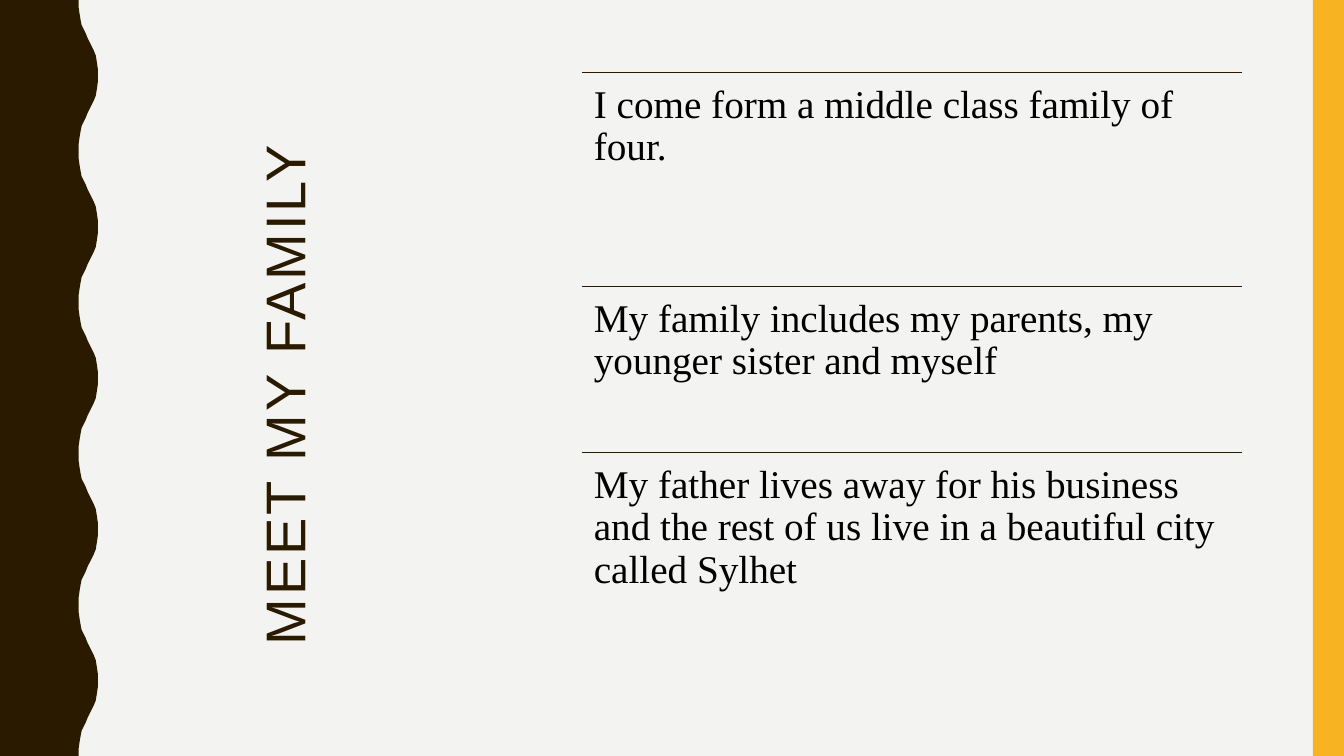
import pptx
import pptx.util
import pptx.dml.color
import pptx.enum.shapes
import pptx.enum.text
from lxml import etree

Inches, Pt = pptx.util.Inches, pptx.util.Pt
RGBColor = pptx.dml.color.RGBColor

TITLE = "MEET MY FAMILY"
FACTS = [
    ("I come form a middle class family of four.", 2.12),
    ("My family includes my parents, my younger sister and myself", 1.65),
    ("My father lives away for his business and the rest of us live in a beautiful city called Sylhet", 2.12),
]
HALF_WAVE = [
    (0.78, 0), (0.78, 0.07), (0.79, 0.14), (0.8, 0.2), (0.81, 0.25),
    (0.83, 0.29), (0.85, 0.33), (0.87, 0.38), (0.89, 0.42), (0.91, 0.46),
    (0.93, 0.5), (0.95, 0.55), (0.96, 0.61), (0.97, 0.68), (0.97, 0.75),
]
WAVE_PERIOD, WAVE_COUNT = 1.5, 5
SLIDE_W, SLIDE_H = 13.33, 7.5
STRIPE_W = 0.31
FACT_LEFT, FACT_TOP, FACT_W = 5.77, 0.72, 6.55

BROWN = RGBColor(0x2A, 0x1A, 0x00)
AMBER = RGBColor(0xF8, 0xB3, 0x23)
PAPER = RGBColor(0xF3, 0xF3, 0xF2)
BLACK = RGBColor(0x00, 0x00, 0x00)


def paint(sp, color):
    sp.shadow.inherit = False
    sp.fill.solid()
    sp.fill.fore_color.rgb = color
    sp.line.fill.background()


def write(sp, text, font, size, color):
    tf = sp.text_frame
    tf.word_wrap = True
    tf.auto_size = pptx.enum.text.MSO_AUTO_SIZE.NONE
    p = tf.paragraphs[0]
    p.text = text
    p.alignment = pptx.enum.text.PP_ALIGN.LEFT
    p.line_spacing = 0.9
    r = p.runs[0]
    r.font.name, r.font.size = font, Pt(size)
    r.font.color.rgb = color
    return r


def add_wave(s):
    period = HALF_WAVE + [(x, WAVE_PERIOD - y) for x, y in HALF_WAVE[-2::-1]]
    edge = [(x, y + i * WAVE_PERIOD) for i in range(WAVE_COUNT) for x, y in period]
    outline = [(Inches(x), Inches(y)) for x, y in edge + [(0, SLIDE_H)]]
    builder = s.shapes.build_freeform(0, 0)
    builder.add_line_segments(outline, close=True)
    paint(builder.convert_to_shape(), BROWN)


def add_stripe(s):
    sp = s.shapes.add_shape(
        pptx.enum.shapes.MSO_SHAPE.RECTANGLE,
        Inches(SLIDE_W - STRIPE_W), 0, Inches(STRIPE_W), Inches(SLIDE_H))
    paint(sp, AMBER)


def add_title(s):
    sp = s.shapes.title
    sp.left, sp.top = Inches(0.01), Inches(2.65)
    sp.width, sp.height = Inches(5.68), Inches(2.02)
    sp.rotation = 270
    sp.text_frame.vertical_anchor = pptx.enum.text.MSO_ANCHOR.MIDDLE
    r = write(sp, TITLE, "Arial", 40, BROWN)
    r.font._element.set("spc", "200")


def add_fact(s, text, top, height):
    left, y, width = Inches(FACT_LEFT), Inches(top), Inches(FACT_W)
    rule = s.shapes.add_connector(
        pptx.enum.shapes.MSO_CONNECTOR.STRAIGHT, left, y, left + width, y)
    rule.line.color.rgb = BROWN
    rule.line.width = Pt(1)
    etree.SubElement(rule._element.spPr, pptx.oxml.ns.qn("a:effectLst"))
    sp = s.shapes.add_textbox(left, y, width, Inches(height))
    tf = sp.text_frame
    tf.margin_left = tf.margin_right = tf.margin_top = tf.margin_bottom = Inches(0.12)
    write(sp, text, "Times New Roman", 28, BLACK)


def main():
    prs = pptx.Presentation()
    prs.slide_width, prs.slide_height = Inches(SLIDE_W), Inches(SLIDE_H)
    s = prs.slides.add_slide(prs.slide_layouts[5])
    s.background.fill.solid()
    s.background.fill.fore_color.rgb = PAPER
    add_wave(s)
    add_stripe(s)
    add_title(s)
    top = FACT_TOP
    for text, height in FACTS:
        add_fact(s, text, top, height)
        top += height
    prs.save("out.pptx")


if __name__ == "__main__":
    main()
